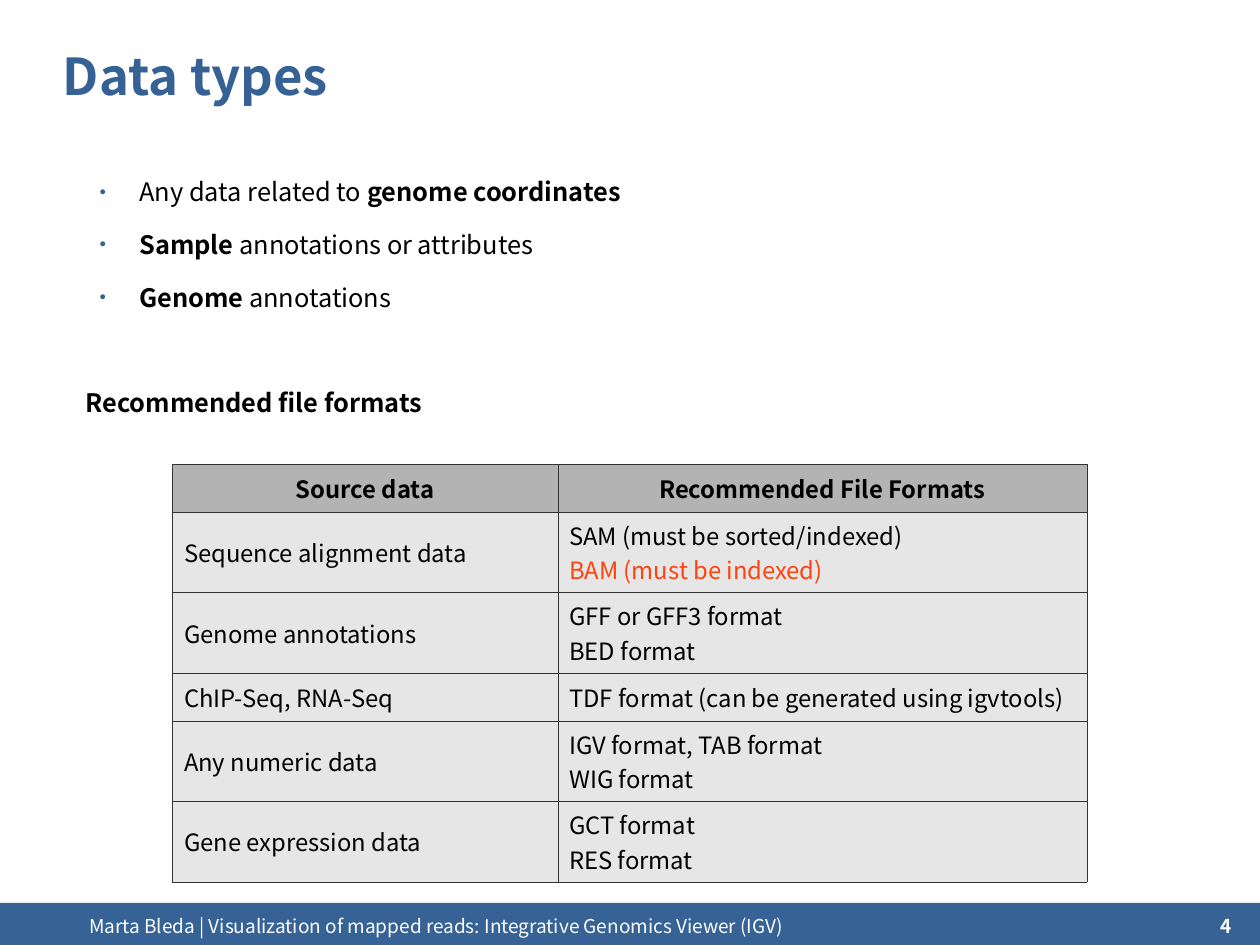
from lxml.etree import SubElement
from pptx import Presentation
from pptx.dml.color import RGBColor
from pptx.enum.shapes import MSO_SHAPE as Shape
from pptx.enum.text import MSO_ANCHOR as Anchor, MSO_AUTO_SIZE as AutoSize, PP_ALIGN as Align
from pptx.oxml import parse_xml
from pptx.oxml.ns import nsdecls, qn
from pptx.util import Cm, Inches, Pt

TITLE = "Data types"
# Each bullet is a list of (text, bold) spans.
BULLETS = [
    [("Any data related to", False), (" genome coordinates", True)],
    [("Sample", True), (" annotations or attributes", False)],
    [("Genome", True), (" annotations", False)],
]
TABLE_HEADING = "Recommended file formats"
HEADER = ("Source data", "Recommended File Formats")
FORMATS = [
    ("Sequence alignment data", ["SAM (must be sorted/indexed)", "BAM (must be indexed)"]),
    ("Genome annotations", ["GFF or GFF3 format", "BED format"]),
    ("ChIP-Seq, RNA-Seq", ["TDF format (can be generated using igvtools)"]),
    ("Any numeric data", ["IGV format, TAB format", "WIG format"]),
    ("Gene expression data", ["GCT format", "RES format"]),
]
HIGHLIGHTED = "BAM (must be indexed)"
FOOTER = "Marta Bleda | Visualization of mapped reads: Integrative Genomics Viewer (IGV)"
PAGE_NUMBER = "4"

FONT = "Noto Sans CJK KR"
BLUE = RGBColor(0x35, 0x61, 0x95)
BAR_BLUE = RGBColor(0x36, 0x62, 0x96)
BLACK = RGBColor(0, 0, 0)
WHITE = RGBColor(255, 255, 255)
ORANGE = RGBColor(0xFF, 0x42, 0x0E)
HEADER_GREY = RGBColor(0xB3, 0xB3, 0xB3)
CELL_GREY = RGBColor(0xE6, 0xE6, 0xE6)
BORDER = RGBColor(0x33, 0x33, 0x33)

SLIDE_WIDTH, SLIDE_HEIGHT = Cm(28), Cm(21)  # metric page format
BAR_TOP = Inches(7.9)
COLUMN_WIDTHS = (3.37, 4.63)
ROW_HEIGHTS = {1: 0.42, 2: 0.67}  # by number of lines
LIST_PITCH = 33.4
LIST_GAP = 14.1


def place(shape, left, top, width, height):
    shape.left, shape.top = Inches(left), Inches(top)
    shape.width, shape.height = Inches(width), Inches(height)


def clear_margins(frame):
    frame.margin_left = frame.margin_right = frame.margin_top = frame.margin_bottom = 0
    frame.word_wrap = True
    frame.auto_size = AutoSize.NONE


def style(para, size, color=BLACK, bold=False, align=Align.LEFT):
    para.alignment = align
    font = para.font
    font.name, font.size, font.bold = FONT, Pt(size), bold
    font.color.rgb = color


def set_bullet(para, bulleted):
    props = para._p.get_or_add_pPr()
    props.set("marL", str(Inches(0.47 if bulleted else 0)))
    props.set("indent", str(Inches(-0.35 if bulleted else 0)))
    if bulleted:
        color = SubElement(props, qn("a:buClr"))
        SubElement(color, qn("a:srgbClr"), val=str(BLUE))
        SubElement(props, qn("a:buSzPct"), val="45000")
        SubElement(props, qn("a:buChar"), char="●")
    else:
        SubElement(props, qn("a:buNone"))


def add_title(page):
    title = page.shapes.title
    place(title, 0.55, 0.33, 9.92, 0.65)
    frame = title.text_frame
    clear_margins(frame)
    frame.vertical_anchor = Anchor.MIDDLE
    frame.text = TITLE
    style(frame.paragraphs[0], 32, BLUE, bold=True)


def add_list(page):
    body = page.placeholders[1]
    place(body, 0.75, 1.54, 9.59, 2.44)
    frame = body.text_frame
    clear_margins(frame)
    for index, spans in enumerate(BULLETS + [[(TABLE_HEADING, True)]]):
        para = frame.add_paragraph() if index else frame.paragraphs[0]
        is_heading = index == len(BULLETS)
        para.space_before = Pt(LIST_PITCH if is_heading else 0)
        para.space_after = Pt(LIST_GAP)
        set_bullet(para, not is_heading)
        style(para, 16)
        for text, bold in spans:
            span = para.add_run()
            span.text = text
            span.font.bold = bold


def fill_cell(cell, lines, is_header):
    cell.vertical_anchor = Anchor.MIDDLE
    cell.margin_left = cell.margin_right = Inches(0.1)
    cell.margin_top = cell.margin_bottom = Inches(0.05)
    cell.fill.solid()
    cell.fill.fore_color.rgb = HEADER_GREY if is_header else CELL_GREY
    props = cell._tc.get_or_add_tcPr()
    for position, side in enumerate(("lnL", "lnR", "lnT", "lnB")):
        props.insert(position, parse_xml(
            f'<a:{side} {nsdecls("a")} w="{Pt(0.06)}"><a:solidFill>'
            f'<a:srgbClr val="{BORDER}"/></a:solidFill></a:{side}>'))
    para = cell.text_frame.paragraphs[0]
    style(para, 15, bold=is_header, align=Align.CENTER if is_header else Align.LEFT)
    for index, line in enumerate(lines):
        if index:
            para.add_line_break()
        span = para.add_run()
        span.text = line
        if line == HIGHLIGHTED:
            span.font.color.rgb = ORANGE


def add_formats_table(page):
    rows = [(HEADER[0], [HEADER[1]])] + FORMATS
    heights = [ROW_HEIGHTS[len(formats)] for _, formats in rows]
    table = page.shapes.add_table(
        len(rows), len(COLUMN_WIDTHS), Inches(1.51), Inches(4.06),
        Inches(sum(COLUMN_WIDTHS)), Inches(sum(heights))).table
    for column, width in zip(table.columns, COLUMN_WIDTHS):
        column.width = Inches(width)
    for index, (source, formats) in enumerate(rows):
        table.rows[index].height = Inches(heights[index])
        fill_cell(table.cell(index, 0), [source], index == 0)
        fill_cell(table.cell(index, 1), formats, index == 0)


def add_footer(page):
    bar = page.shapes.add_shape(
        Shape.RECTANGLE, 0, BAR_TOP, SLIDE_WIDTH, SLIDE_HEIGHT - BAR_TOP)
    bar.shadow.inherit = False
    bar.fill.solid()
    bar.fill.fore_color.rgb = BAR_BLUE
    bar.line.fill.background()
    for text, left, width, bold, align in (
            (FOOTER, 0.78, 8.93, False, Align.LEFT),
            (PAGE_NUMBER, 9.87, 0.91, True, Align.RIGHT)):
        box = page.shapes.add_textbox(Inches(left), Inches(8), Inches(width), Inches(0.27))
        clear_margins(box.text_frame)
        box.text_frame.text = text
        style(box.text_frame.paragraphs[0], 12, WHITE, bold, align)


def main():
    deck = Presentation()
    deck.slide_width, deck.slide_height = SLIDE_WIDTH, SLIDE_HEIGHT
    page = deck.slides.add_slide(deck.slide_layouts[1])
    add_title(page)
    add_list(page)
    add_formats_table(page)
    add_footer(page)
    deck.save("out.pptx")


if __name__ == "__main__":
    main()
